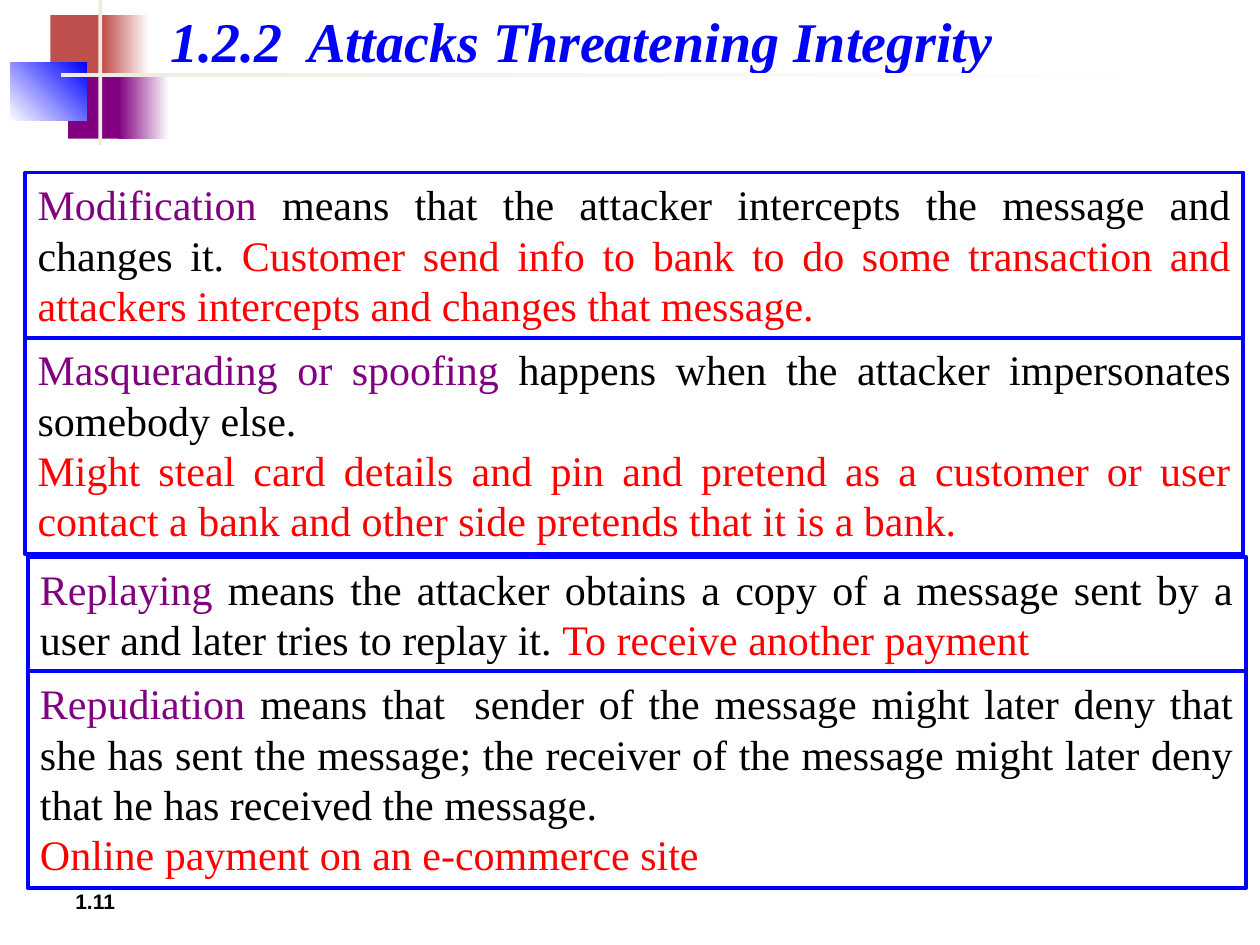
from pptx import Presentation
from pptx.dml.color import RGBColor
from pptx.enum.shapes import MSO_SHAPE
from pptx.enum.text import MSO_ANCHOR, MSO_AUTO_SIZE, PP_ALIGN
from pptx.util import Pt

BLUE = RGBColor(0x00, 0x00, 0xFF)
PURPLE = RGBColor(0x80, 0x00, 0x80)
RED = RGBColor(0xFF, 0x00, 0x00)
BLACK = RGBColor(0x00, 0x00, 0x00)
WHITE = RGBColor(0xFF, 0xFF, 0xFF)
BRICK = RGBColor(0xC0, 0x50, 0x4D)
CREAM = RGBColor(0xEE, 0xEC, 0xE1)
SERIF = "Times New Roman"

# Each definition: top, height and paragraphs of (text, colour) runs
UPPER = [
    (98.6, 94.3, [[
        ("Modification ", PURPLE),
        ("means that the attacker intercepts the message and changes it. ", BLACK),
        ("Customer send info to bank to do some transaction and attackers "
         "intercepts and changes that message.", RED)]]),
    (192.9, 123.8, [
        [("Masquerading or spoofing ", PURPLE),
         ("happens when the attacker impersonates somebody else.", BLACK)],
        [("Might steal card details and pin and pretend as a customer or user "
          "contact a bank and other side pretends that it is a bank.", RED)]]),
]
LOWER = [
    (318.2, 65.5, [[
        ("Replaying", PURPLE),
        (" means the attacker obtains a copy of a message sent by a user and "
         "later tries to replay it. ", BLACK),
        ("To receive another payment", RED)]]),
    (383.7, 123.8, [
        [("Repudiation", PURPLE),
         (" means that  sender of the message might later deny that she has sent "
          "the message; the receiver of the message might later deny that he has "
          "received the message.", BLACK)],
        [("Online payment on an e-commerce site", RED)]]),
]


def add_span(para, text, size, color, font=SERIF, bold=False, italic=False):
    span = para.add_run()
    span.text = text
    span.font.name = font
    span.font.size = Pt(size)
    span.font.bold = bold
    span.font.italic = italic
    span.font.color.rgb = color


def add_block(page, box, start, end=None, angle=0):
    """Borderless rectangle, solid or fading from start to end."""
    block = page.shapes.add_shape(MSO_SHAPE.RECTANGLE, *map(Pt, box))
    block.shadow.inherit = False
    block.line.fill.background()
    if end is None:
        block.fill.solid()
        block.fill.fore_color.rgb = start
    else:
        block.fill.gradient()
        block.fill.gradient_angle = angle
        for stop, color in zip(block.fill.gradient_stops, (start, end)):
            stop.color.rgb = color


def add_ornament(page, left, top):
    """Overlapping squares with a crossing pair of bars."""
    parts = [
        ((23, 8.6, 34.6, 37.4), BRICK),
        ((53.3, 8.6, 25.9, 37.4), BRICK, WHITE),
        ((33.1, 41.8, 33.1, 37.4), PURPLE),
        ((61.9, 41.8, 28.8, 37.4), PURPLE, WHITE),
        ((0, 36, 43.9, 33.1), WHITE, BLUE, 45),
        ((50.4, 0, 2.2, 82.8), CREAM),
        ((28.8, 41.8, 648, 2.2), CREAM, WHITE),
    ]
    for (x, y, width, height), *paint in parts:
        add_block(page, (left + x, top + y, width, height), *paint)


def add_title(page, box):
    title = page.shapes.title
    title.left, title.top, title.width, title.height = map(Pt, box)
    frame = title.text_frame
    frame.word_wrap = False
    frame.auto_size = MSO_AUTO_SIZE.SHAPE_TO_FIT_TEXT
    frame.vertical_anchor = MSO_ANCHOR.TOP
    para = frame.paragraphs[0]
    para.alignment = PP_ALIGN.LEFT
    add_span(para, "1.2.2  Attacks Threatening Integrity", 32, BLUE,
             bold=True, italic=True)


def add_definition(page, box, paragraphs):
    """Blue-framed box holding justified paragraphs."""
    panel = page.shapes.add_shape(MSO_SHAPE.RECTANGLE, *map(Pt, box))
    panel.shadow.inherit = False
    panel.fill.background()
    panel.line.color.rgb = BLUE
    panel.line.width = Pt(2.25)
    frame = panel.text_frame
    frame.word_wrap = True
    frame.auto_size = MSO_AUTO_SIZE.SHAPE_TO_FIT_TEXT
    frame.vertical_anchor = MSO_ANCHOR.TOP
    for index, spans in enumerate(paragraphs):
        para = frame.add_paragraph() if index else frame.paragraphs[0]
        para.alignment = PP_ALIGN.JUSTIFY
        for text, color in spans:
            add_span(para, text, 24, color)


def add_page_number(page, box):
    label = page.shapes.add_textbox(*map(Pt, box))
    frame = label.text_frame
    frame.word_wrap = True
    frame.vertical_anchor = MSO_ANCHOR.MIDDLE
    add_span(frame.paragraphs[0], "1.11", 12, BLACK, font="Arial", bold=True)


def main():
    deck = Presentation()
    deck.slide_width, deck.slide_height = Pt(720), Pt(540)
    page = deck.slides.add_slide(deck.slide_layouts[5])
    add_page_number(page, (36, 500.4, 167.8, 28.8))
    add_ornament(page, 5.8, 0)
    add_title(page, (90, 0, 486, 45.4))
    for left, definitions in ((14.4, UPPER), (15.8, LOWER)):
        for top, height, paragraphs in definitions:
            add_definition(page, (left, top, 696.2, height), paragraphs)
    deck.save("out.pptx")


if __name__ == "__main__":
    main()
